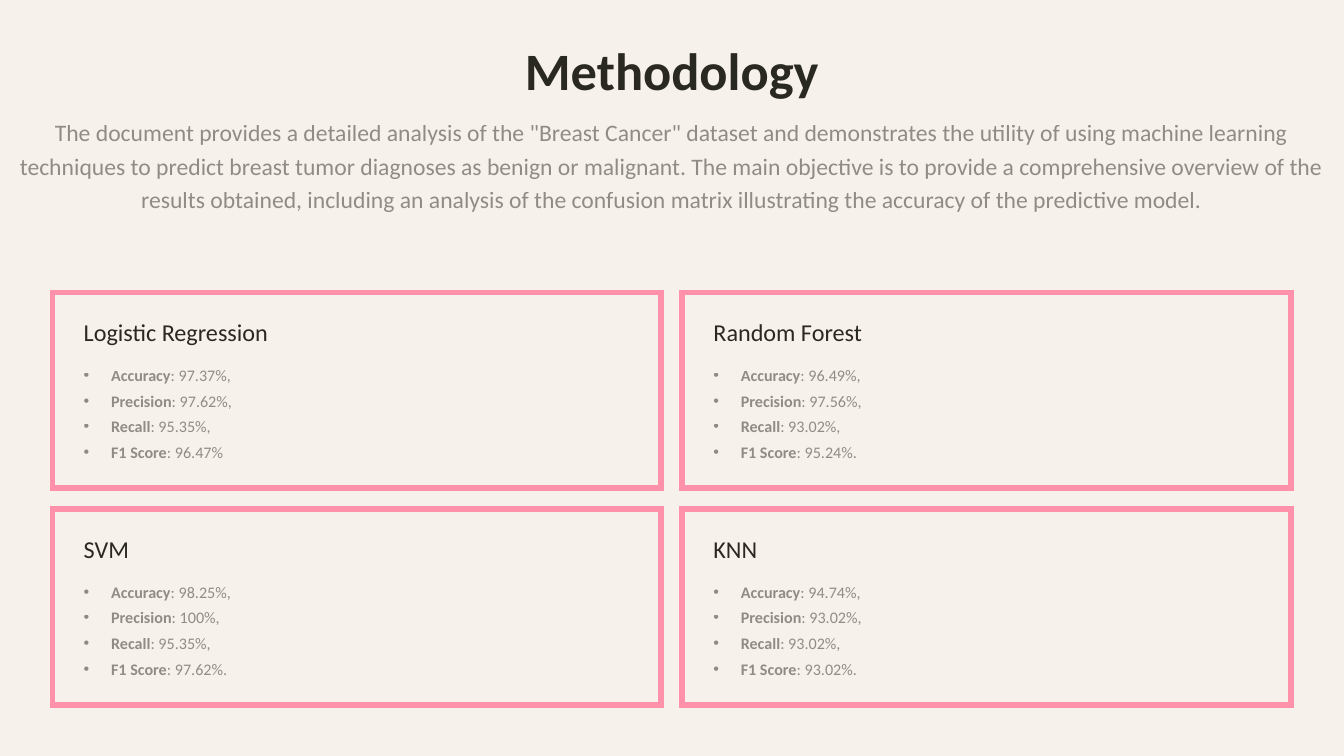
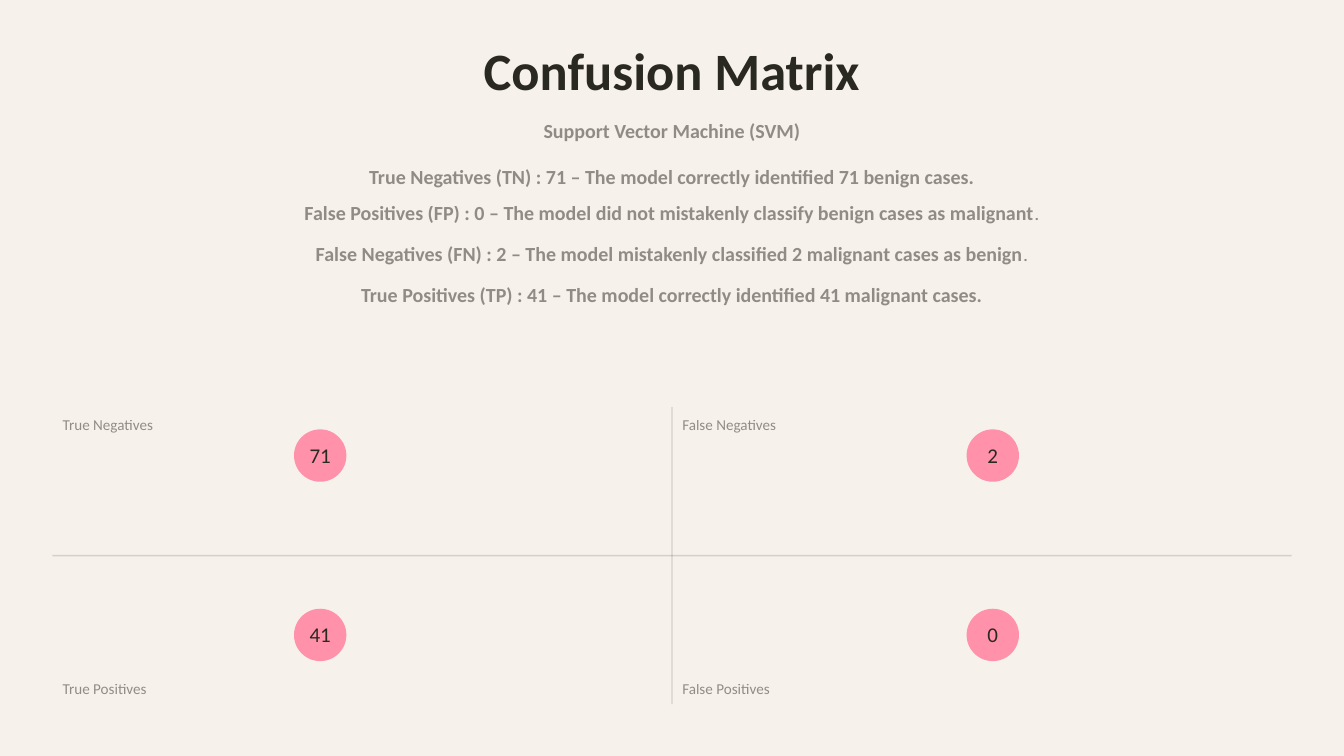
from lxml.etree import SubElement
from pptx import Presentation
from pptx.dml.color import RGBColor
from pptx.enum.shapes import MSO_CONNECTOR, MSO_SHAPE
from pptx.enum.text import MSO_ANCHOR, MSO_AUTO_SIZE, PP_ALIGN
from pptx.oxml.ns import qn
from pptx.util import Cm, Pt

PAGE_W, PAGE_H = 33.87, 19.05
MARGIN = 1.32
PAPER, INK, PINK = "F7F1EB", "2A2921", "FF91AB"
MUTED, FAINT = 50, 17  # opacity of the ink, in percent
LEFT, CENTER = PP_ALIGN.LEFT, PP_ALIGN.CENTER


def paint(fill, color, owner=None, opacity=100):
    """Fill with a hex colour; owner is the XML element that holds it."""
    fill.solid()
    fill.fore_color.rgb = RGBColor.from_string(color)
    if opacity < 100:
        for node in owner.iter(qn("a:srgbClr")):
            SubElement(node, qn("a:alpha"), val=str(opacity * 1000))


class Deck:
    def __init__(self):
        self.prs = Presentation()
        self.prs.slide_width, self.prs.slide_height = Cm(PAGE_W), Cm(PAGE_H)
        paint(self.prs.slide_master.background.fill, PAPER)
        self.slide = None

    def set_lines(self, frame, lines, size, leading, align=LEFT, opacity=100,
                  bullets=False, gap=0):
        """Each line is a pair: a bold part and a plain part."""
        frame.word_wrap = True
        frame.auto_size = MSO_AUTO_SIZE.NONE
        frame.margin_left = frame.margin_right = 0
        frame.margin_top = frame.margin_bottom = 0
        frame.text = "\n".join(bold or plain for bold, plain in lines)
        for index, (paragraph, (bold, plain)) in enumerate(zip(frame.paragraphs, lines)):
            if bullets:
                props = paragraph._p.get_or_add_pPr()
                props.set("marL", str(Cm(0.69)))
                props.set("indent", str(-Cm(0.69)))
                SubElement(props, qn("a:buFont"), typeface="Arial")
                SubElement(props, qn("a:buChar"), char="•")
            paragraph.alignment = align
            paragraph.line_spacing = Pt(leading)
            paragraph.space_before = Pt(gap if index else 0)
            if bold and plain:
                paragraph.add_run().text = plain
            for place, run in enumerate(paragraph.runs):
                run.font.name, run.font.size = "Calibri", Pt(size)
                run.font.bold = bool(bold) and place == 0
                paint(run.font.fill, INK, run._r, opacity)

    def add_slide(self, title):
        self.slide = self.prs.slides.add_slide(self.prs.slide_layouts[5])
        heading = self.slide.shapes.title
        heading.left, heading.top = Cm(0), Cm(1.04)
        heading.width, heading.height = Cm(PAGE_W), Cm(1.5)
        self.set_lines(heading.text_frame, [(title, "")], 37.5, 42.6, CENTER)
        heading.text_frame.vertical_anchor = MSO_ANCHOR.TOP

    def text(self, x, y, w, h, lines, size, leading, **style):
        box = self.slide.shapes.add_textbox(Cm(x), Cm(y), Cm(w), Cm(h))
        self.set_lines(box.text_frame, lines, size, leading, **style)

    def shape(self, kind, x, y, w, h):
        shape = self.slide.shapes.add_shape(kind, Cm(x), Cm(y), Cm(w), Cm(h))
        shape.shadow.inherit = False
        return shape

    def card(self, x, y, w, h, model, scores):
        frame = self.shape(MSO_SHAPE.RECTANGLE, x, y, w, h)
        frame.fill.background()
        paint(frame.line.fill, PINK)
        frame.line.width = Pt(4)
        SubElement(frame.line._get_or_add_ln(), qn("a:miter"), lim="800000")
        inset = 0.79
        self.text(x + inset, y + 0.66, w - 2 * inset, 0.69, [("", model)], 17.3, 19.7)
        self.text(x + inset, y + 1.75, w - 2 * inset, 2.51, scores, 11.5, 16.3,
                  opacity=MUTED, bullets=True, gap=2)

    def dot(self, center_x, center_y, count):
        size = 1.32
        dot = self.shape(MSO_SHAPE.OVAL, center_x - size / 2, center_y - size / 2, size, size)
        paint(dot.fill, PINK)
        dot.line.fill.background()
        self.set_lines(dot.text_frame, [("", count)], 15, 17, CENTER)
        dot.text_frame.vertical_anchor = MSO_ANCHOR.MIDDLE

    def line(self, x1, y1, x2, y2):
        line = self.slide.shapes.add_connector(
            MSO_CONNECTOR.STRAIGHT, Cm(x1), Cm(y1), Cm(x2), Cm(y2))
        line.line.width = Pt(1)
        paint(line.line.fill, INK, line.line._get_or_add_ln(), FAINT)
        SubElement(line._element.spPr, qn("a:effectLst"))


def methodology(deck):
    deck.add_slide("Methodology")
    summary = (
        'The document provides a detailed analysis of the "Breast Cancer" dataset and '
        "demonstrates the utility of using machine learning techniques to predict breast "
        "tumor diagnoses as benign or malignant. The main objective is to provide a "
        "comprehensive overview of the results obtained, including an analysis of the "
        "confusion matrix illustrating the accuracy of the predictive model.")
    deck.text(0, 2.84, PAGE_W, 3.38, [("", summary)], 16.9, 24, align=CENTER, opacity=MUTED)

    # Two by two cards, one per model
    metrics = ["Accuracy", "Precision", "Recall", "F1 Score"]
    models = [
        ("Logistic Regression", ["97.37%,", "97.62%,", "95.35%,", "96.47%"]),
        ("Random Forest", ["96.49%,", "97.56%,", "93.02%,", "95.24%."]),
        ("SVM", ["98.25%,", "100%,", "95.35%,", "97.62%."]),
        ("KNN", ["94.74%,", "93.02%,", "93.02%,", "93.02%."]),
    ]
    card_w, card_h, gap = 15.34, 4.93, 0.53
    for index, (model, values) in enumerate(models):
        row, column = divmod(index, 2)
        scores = [(metric, f": {value}") for metric, value in zip(metrics, values)]
        deck.card(MARGIN + column * (card_w + gap), 7.37 + row * (card_h + gap),
                  card_w, card_h, model, scores)


def confusion_matrix(deck):
    deck.add_slide("Confusion Matrix")

    # Findings
    findings = [
        (2.87, "Support Vector Machine (SVM)", ""),
        (4.02, "True Negatives (TN) : 71 – The model correctly identified 71 benign cases.", ""),
        (4.95, "False Positives (FP) : 0 – The model did not mistakenly classify "
               "benign cases as malignant", "."),
        (5.97, "False Negatives (FN) : 2 – The model mistakenly classified "
               "2 malignant cases as benign", "."),
        (7.01, "True Positives (TP) : 41 – The model correctly identified "
               "41 malignant cases.", ""),
    ]
    for top, bold, plain in findings:
        deck.text(0, top, PAGE_W, 0.71, [(bold, plain)], 14.3, 20.4,
                  align=CENTER, opacity=MUTED)

    # Axes
    middle_x, middle_y, reach = PAGE_W / 2, 14, 3.74
    deck.line(MARGIN, middle_y, PAGE_W - MARGIN, middle_y)
    deck.line(middle_x, middle_y - reach, middle_x, middle_y + reach)

    # Quadrants: label at the outer edge, count in a dot
    columns = [(MARGIN, 8.07), (middle_x, 25.02)]
    rows = [(10.39, 11.48), (17.04, 16)]
    quadrants = [("True Negatives", "71"), ("False Negatives", "2"),
                 ("True Positives", "41"), ("False Positives", "0")]
    for index, (label, count) in enumerate(quadrants):
        edge, dot_x = columns[index % 2]
        label_y, dot_y = rows[index // 2]
        deck.text(edge + 0.26, label_y, 6, 0.53, [("", label)], 10.8, 15.3, opacity=MUTED)
        deck.dot(dot_x, dot_y, count)


def main():
    deck = Deck()
    methodology(deck)
    confusion_matrix(deck)
    deck.prs.save("out.pptx")


if __name__ == "__main__":
    main()
